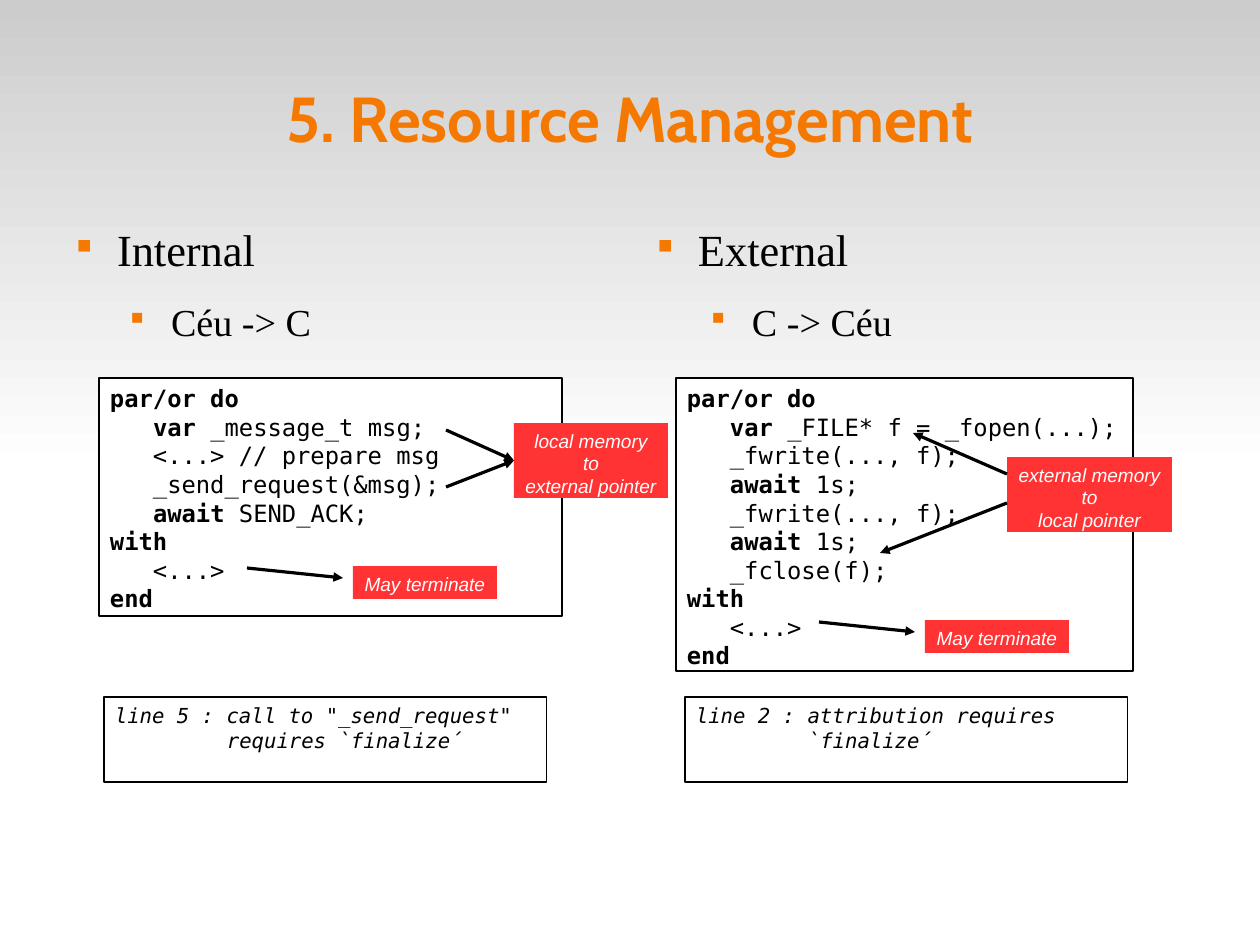
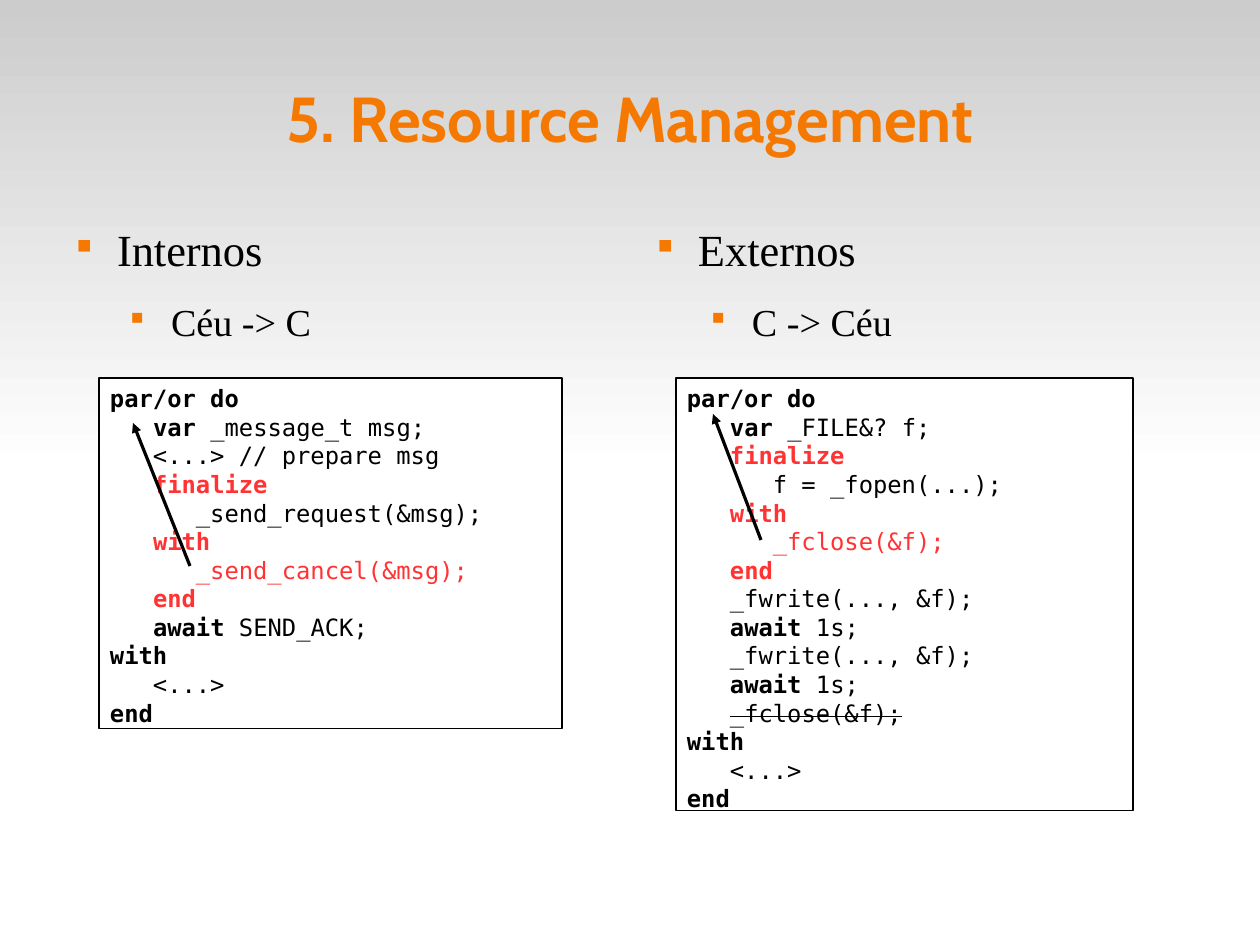
from dataclasses import dataclass

from lxml import etree
from pptx import Presentation
from pptx.dml.color import RGBColor
from pptx.enum.shapes import MSO_CONNECTOR, MSO_SHAPE
from pptx.enum.text import MSO_ANCHOR, MSO_AUTO_SIZE, PP_ALIGN
from pptx.oxml.ns import qn
from pptx.util import Emu, Pt

RECTANGLE = MSO_SHAPE.RECTANGLE
STRAIGHT = MSO_CONNECTOR.STRAIGHT
TOP, MIDDLE = MSO_ANCHOR.TOP, MSO_ANCHOR.MIDDLE
FIXED = MSO_AUTO_SIZE.NONE
LEFT, CENTER = PP_ALIGN.LEFT, PP_ALIGN.CENTER

EMU_PER_PX = 8000
SLIDE_WIDTH, SLIDE_HEIGHT = 1260, 945
ORANGE, RED, BLACK, WHITE, GRAY = "F57900", "FF3333", "000000", "FFFFFF", "CCCCCC"
TITLE_FONT, BODY_FONT = "Cabin", "Times New Roman"
CODE_FONT, LABEL_FONT = "DejaVu Sans Mono", "Arial"
KEYWORDS = ("par/or do", "var", "await", "finalize", "with", "end")
LEFT_SIDE = MIDDLE_LEFT = 1


@dataclass
class Box:
    left: int
    top: int
    width: int
    height: int

    def inner(self, left, top, width, height):
        return Box(self.left + left, self.top + top, width, height)

    def emu(self):
        return [px(n) for n in (self.left, self.top, self.width, self.height)]


INTERNAL_COLUMN = Box(63, 222, 509, 600)
EXTERNAL_COLUMN = Box(644, 222, 509, 600)


def px(length):
    return Emu(length * EMU_PER_PX)


def color(value):
    return RGBColor.from_string(value)


def add_run(paragraph, text, font, size, tint, bold=False, italic=False, struck=False):
    run = paragraph.add_run()
    run.text = text
    run.font.name = font
    run.font.size = Pt(size)
    run.font.bold = bold
    run.font.italic = italic
    run.font.color.rgb = color(tint)
    if struck:
        run.font._element.set("strike", "sngStrike")


def paragraphs(frame, items):
    for index, item in enumerate(items):
        yield frame.paragraphs[0] if index == 0 else frame.add_paragraph(), item


def set_frame(frame, anchor=TOP, margins=(0, 0), wrap=True):
    frame.auto_size = FIXED
    frame.word_wrap = wrap
    frame.vertical_anchor = anchor
    frame.margin_left = frame.margin_right = px(margins[0])
    frame.margin_top = frame.margin_bottom = px(margins[1])
    return frame


def set_indent(paragraph, margin, first):
    properties = paragraph._p.get_or_add_pPr()
    properties.set("marL", str(px(margin)))
    properties.set("indent", str(px(first)))
    return properties


def add_panel(slide, box, fill, outlined=True, wrap=True):
    panel = slide.shapes.add_shape(RECTANGLE, *box.emu())
    panel.shadow.inherit = False
    panel.fill.solid()
    panel.fill.fore_color.rgb = color(fill)
    if outlined:
        panel.line.color.rgb = color(BLACK)
        panel.line.width = Emu(0)
    else:
        panel.line.fill.background()
    set_frame(panel.text_frame, margins=(11, 6), wrap=wrap)
    return panel


def add_arrow(slide, box, start, end):
    ends = [px(n) for n in (box.left + start[0], box.top + start[1],
                            box.left + end[0], box.top + end[1])]
    arrow = slide.shapes.add_connector(STRAIGHT, *ends)
    arrow.line.color.rgb = color(BLACK)
    arrow.line.width = Emu(0)
    etree.SubElement(arrow.line._get_or_add_ln(), qn("a:tailEnd"), type="triangle")
    etree.SubElement(arrow._element.spPr, qn("a:effectLst"))
    return arrow


def add_label(slide, box, lines):
    label = add_panel(slide, box, RED, outlined=False, wrap=False)
    for paragraph, line in paragraphs(label.text_frame, lines):
        paragraph.alignment = CENTER
        add_run(paragraph, line, LABEL_FONT, 12, WHITE, italic=True)
    return label


def add_termination(slide, code_box, left, top):
    box = code_box.inner(left, top, 144, 33)
    add_label(slide, box, ["May terminate"])
    add_arrow(slide, box, (-106, 2), (-10, 12))


def add_heading(slide, column, heading, direction):
    box = column.inner(0, 0, column.width, 122)
    frame = set_frame(slide.shapes.add_textbox(*box.emu()).text_frame)
    levels = [(heading, 28, 14.2), (direction, 24, 11.3)]
    for level, (paragraph, (text, size, after)) in enumerate(paragraphs(frame, levels)):
        paragraph.level = level
        properties = set_indent(paragraph, 54 * (level + 1), -40)
        bullet_color = etree.SubElement(properties, qn("a:buClr"))
        etree.SubElement(bullet_color, qn("a:srgbClr"), val=ORANGE)
        etree.SubElement(properties, qn("a:buSzPct"), val="45000")
        etree.SubElement(properties, qn("a:buChar"), char="■")
        paragraph.space_after = Pt(after)
        add_run(paragraph, text, BODY_FONT, size, BLACK)


def add_code(slide, box, code, red=(), struck=()):
    frame = add_panel(slide, box, WHITE).text_frame
    for number, (paragraph, line) in enumerate(paragraphs(frame, code.splitlines())):
        paragraph.alignment = LEFT
        statement = line.lstrip()
        keyword = next((k for k in KEYWORDS if statement.startswith(k)), "")
        tint = RED if number in red else BLACK
        indent = line[:len(line) - len(statement)]
        rest = statement[len(keyword):]
        if indent:
            add_run(paragraph, indent, CODE_FONT, 15, tint)
        if keyword:
            add_run(paragraph, keyword, CODE_FONT, 15, tint, bold=True)
        if rest:
            add_run(paragraph, rest, CODE_FONT, 15, tint, struck=number in struck)


def add_message(slide, column, message):
    panel = add_panel(slide, column.inner(41, 475, 443, 85), WHITE)
    paragraph = panel.text_frame.paragraphs[0]
    paragraph.alignment = LEFT
    set_indent(paragraph, 112, -112)
    add_run(paragraph, message, CODE_FONT, 13, BLACK, italic=True)


def internal_code_box(height):
    return INTERNAL_COLUMN.inner(36, 156, 463, height)


def external_code_box(height):
    return EXTERNAL_COLUMN.inner(32, 156, 457, height)


def start_slide(deck, layout):
    slide = deck.slides.add_slide(layout)
    title = slide.shapes.title
    title.left, title.top, title.width, title.height = Box(63, 38, 1134, 158).emu()
    paragraph = set_frame(title.text_frame, anchor=MIDDLE).paragraphs[0]
    paragraph.alignment = CENTER
    add_run(paragraph, "5. Resource Management", TITLE_FONT, 40, ORANGE, bold=True)
    return slide


def add_master_band(deck, slide):
    band = add_panel(slide, Box(0, 0, SLIDE_WIDTH, 472), WHITE, outlined=False)
    band.fill.gradient()
    band.fill.gradient_angle = 270
    for stop, tint, position in zip(band.fill.gradient_stops, (GRAY, WHITE), (0, 1)):
        stop.color.rgb = color(tint)
        stop.position = position
    band._element.nvSpPr.cNvPr.set("id", "99")
    deck.slide_master.shapes._spTree.insert(2, band._element)


def build_problem(slide):
    add_heading(slide, INTERNAL_COLUMN, "Internal", "Céu -> C")
    code_box = internal_code_box(238)
    add_code(slide, code_box, """par/or do
   var _message_t msg;
   <...> // prepare msg
   _send_request(&msg);
   await SEND_ACK;
with
   <...>
end""")
    memory = add_label(slide, code_box.inner(415, 45, 154, 75),
                       ["local memory", "to", "external pointer"])
    for top in (52, 109):
        arrow = add_arrow(slide, code_box, (347, top), (415, 82))
        arrow.end_connect(memory, MIDDLE_LEFT)
    add_termination(slide, code_box, 254, 188)
    add_message(slide, INTERNAL_COLUMN,
                'line 5 : call to "_send_request" requires `finalize´')

    add_heading(slide, EXTERNAL_COLUMN, "External", "C -> Céu")
    code_box = external_code_box(293)
    add_code(slide, code_box, """par/or do
   var _FILE* f = _fopen(...);
   _fwrite(..., f);
   await 1s;
   _fwrite(..., f);
   await 1s;
   _fclose(f);
with
   <...>
end""")
    add_label(slide, code_box.inner(331, 79, 165, 75),
              ["external memory", "to", "local pointer"])
    add_arrow(slide, code_box, (331, 96), (237, 55))
    add_arrow(slide, code_box, (331, 125), (204, 175))
    add_termination(slide, code_box, 249, 242)
    add_message(slide, EXTERNAL_COLUMN, "line 2 : attribution requires `finalize´")


def build_solution(slide):
    add_heading(slide, INTERNAL_COLUMN, "Internos", "Céu -> C")
    code_box = internal_code_box(351)
    add_code(slide, code_box, """par/or do
   var _message_t msg;
   <...> // prepare msg
   finalize
      _send_request(&msg);
   with
      _send_cancel(&msg);
   end
   await SEND_ACK;
with
   <...>
end""", red=(3, 5, 6, 7))
    add_arrow(slide, code_box, (91, 188), (34, 45))

    add_heading(slide, EXTERNAL_COLUMN, "Externos", "C -> Céu")
    code_box = external_code_box(433)
    add_code(slide, code_box, """par/or do
   var _FILE&? f;
   finalize
      f = _fopen(...);
   with
      _fclose(&f);
   end
   _fwrite(..., &f);
   await 1s;
   _fwrite(..., &f);
   await 1s;
   _fclose(&f);
with
   <...>
end""", red=(2, 4, 5, 6), struck=(11,))
    add_arrow(slide, code_box, (85, 162), (37, 36))


def main():
    deck = Presentation()
    deck.slide_width, deck.slide_height = px(SLIDE_WIDTH), px(SLIDE_HEIGHT)
    title_only = deck.slide_layouts[5]
    problem = start_slide(deck, title_only)
    add_master_band(deck, problem)
    build_problem(problem)
    build_solution(start_slide(deck, title_only))
    deck.save("out.pptx")


if __name__ == "__main__":
    main()
